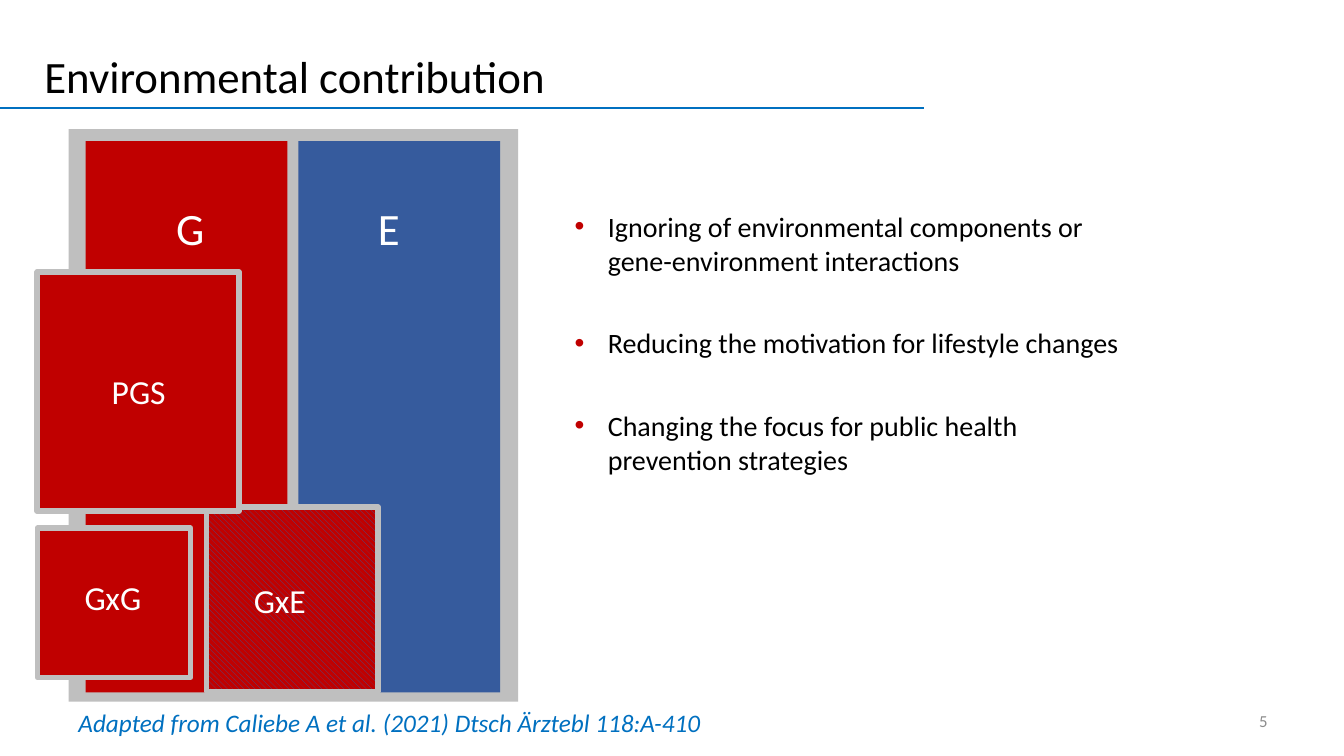
from dataclasses import dataclass

from lxml import etree
from pptx import Presentation
from pptx.dml.color import RGBColor
from pptx.enum.dml import MSO_PATTERN
from pptx.enum.shapes import MSO_CONNECTOR, MSO_SHAPE
from pptx.enum.text import MSO_ANCHOR, PP_ALIGN
from pptx.oxml.ns import qn
from pptx.util import Pt

EMU_PER_PX = 9144  # 100 px to the inch


@dataclass(frozen=True)
class Theme:
    font: str = "Calibri"
    ink: str = "000000"
    white: str = "FFFFFF"
    accent: str = "0070C0"
    genes: str = "C00000"
    environment: str = "365B9D"
    frame: str = "BFBFBF"
    muted: str = "8C8C8C"
    heading: int = 32
    label: int = 24
    body: int = 20
    source: int = 18
    number: int = 12
    body_gap: int = 35


THEME = Theme()


def px(length):
    return round(length * EMU_PER_PX)


def rgb(code):
    return RGBColor.from_string(code)


def add_run(paragraph, words, size, color, italic=None):
    run = paragraph.add_run()
    run.text = words
    font = run.font
    font.name, font.size, font.italic = THEME.font, Pt(size), italic
    font.color.rgb = rgb(color)


def add_frame(slide, x, y, w, h, wrap=True, inset=None):
    frame = slide.shapes.add_textbox(px(x), px(y), px(w), px(h)).text_frame
    frame.word_wrap = wrap
    if inset is not None:
        frame.margin_left = frame.margin_right = px(inset)
        frame.margin_top = frame.margin_bottom = px(inset)
    return frame


def add_block(slide, x, y, w, h, color, stripes=None, bordered=False):
    block = slide.shapes.add_shape(MSO_SHAPE.RECTANGLE, px(x), px(y), px(w), px(h))
    block.shadow.inherit = False
    if stripes:
        block.fill.patterned()
        block.fill.pattern = MSO_PATTERN.WIDE_DOWNWARD_DIAGONAL
        block.fill.fore_color.rgb = rgb(stripes)
        block.fill.back_color.rgb = rgb(color)
    else:
        block.fill.solid()
        block.fill.fore_color.rgb = rgb(color)
    if bordered:
        block.line.color.rgb = rgb(THEME.frame)
        block.line.width = Pt(4)
    else:
        block.line.fill.background()


def add_title(slide, x, y, w, h):
    # Rule under the title, starting at the slide edge
    rule = slide.shapes.add_connector(
        MSO_CONNECTOR.STRAIGHT, px(x), px(y + h), px(x + w), px(y + h))
    rule.line.color.rgb = rgb(THEME.accent)
    rule.line.width = Pt(1.5)
    etree.SubElement(rule._element.spPr, qn("a:effectLst"))
    # Title text
    title = add_frame(slide, x + 39, y, 516, h, wrap=False, inset=5)
    add_run(title.paragraphs[0], "Environmental contribution", THEME.heading, THEME.ink)


def add_diagram(slide, x, y, w, h):
    # Grey frame with the environment and gene halves
    add_block(slide, x, y, w, h, THEME.frame)
    half_w, half_h = 200, h - 21
    add_block(slide, x + 228, y + 12, half_w, half_h, THEME.environment)
    add_block(slide, x + 17, y + 12, half_w, half_h, THEME.genes)
    # Interaction and score blocks
    for dx, dy, block_w, block_h, stripes in (
        (137, 375, 170, 183, THEME.environment),
        (-31, 142, 200, 237, None),
        (-31, 396, 152, 148, None),
    ):
        add_block(slide, x + dx, y + dy, block_w, block_h, THEME.genes, stripes, True)
    # Labels
    for name, dx, dy, size in (
        ("E", 297, 66, THEME.heading),
        ("G", 97, 66, THEME.heading),
        ("GxE", 174, 442, THEME.label),
        ("PGS", 33, 235, THEME.label),
        ("GxG", 6, 439, THEME.label),
    ):
        label = add_frame(slide, x + dx, y + dy, 84, 2 * size)
        add_run(label.paragraphs[0], name, size, THEME.white)


def add_bullet(paragraph):
    properties = paragraph._p.get_or_add_pPr()
    properties.set("marL", str(px(33)))
    properties.set("indent", str(-px(33)))
    bullet_color = etree.SubElement(properties, qn("a:buClr"))
    etree.SubElement(bullet_color, qn("a:srgbClr"), val=THEME.genes)
    etree.SubElement(properties, qn("a:buFont"), typeface="Arial")
    etree.SubElement(properties, qn("a:buChar"), char="•")


def add_consequences(slide, x, y, w, h):
    consequences = add_frame(slide, x, y, w, h)
    for index, words in enumerate((
        "Ignoring of environmental components or gene-environment interactions",
        "Reducing the motivation for lifestyle changes",
        "Changing the focus for public health prevention strategies",
    )):
        point = consequences.add_paragraph() if index else consequences.paragraphs[0]
        point.space_after = Pt(THEME.body_gap)
        add_bullet(point)
        add_run(point, words, THEME.body, THEME.ink)


def add_footer(slide, x, y, w, h):
    # Source
    source = add_frame(slide, x, y, 661, h)
    add_run(source.paragraphs[0],
            "Adapted from Caliebe A et al. (2021) Dtsch Ärztebl 118:A-410",
            THEME.source, THEME.accent, italic=True)
    # Slide number
    number = add_frame(slide, x + w - 311, y - 2, 311, h)
    number.vertical_anchor = MSO_ANCHOR.MIDDLE
    number.paragraphs[0].alignment = PP_ALIGN.RIGHT
    add_run(number.paragraphs[0], "5", THEME.number, THEME.muted)


def main():
    deck = Presentation()
    deck.slide_width, deck.slide_height = px(1333), px(750)
    slide = deck.slides.add_slide(deck.slide_layouts[6])
    add_title(slide, 0, 43, 916, 64)
    add_diagram(slide, 68, 128, 446, 568)
    add_consequences(slide, 560, 203, 581, 274)
    add_footer(slide, 68, 697, 1199, 40)
    deck.save("out.pptx")


if __name__ == "__main__":
    main()
